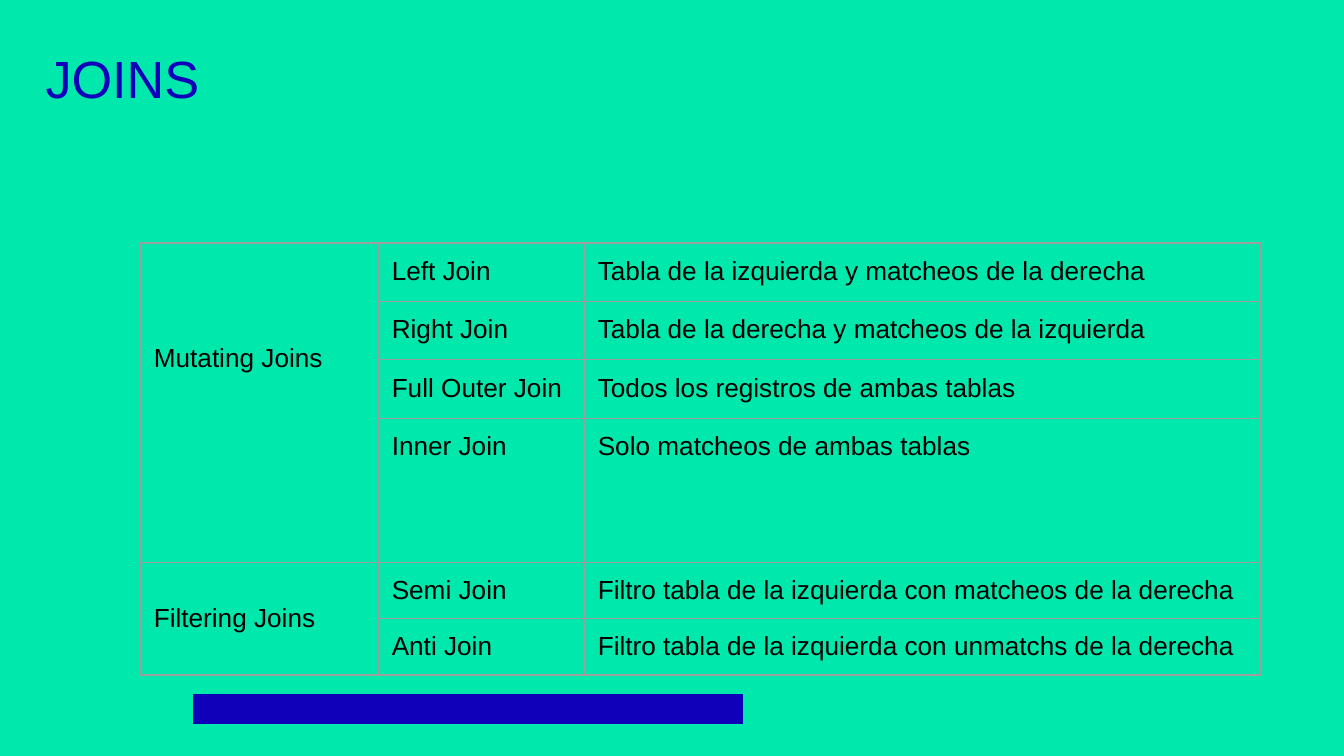
from lxml.etree import SubElement
from pptx import Presentation
from pptx.dml.color import RGBColor as RGB
from pptx.enum.shapes import MSO_SHAPE as SHAPE
from pptx.enum.text import MSO_ANCHOR as ANCHOR, PP_ALIGN as ALIGN
from pptx.oxml.ns import qn
from pptx.util import Pt

COLORS = {"bg": "01E8AC", "blue": "1000BA", "text": "000000", "border": "9E9E9E"}
TITLE = "JOINS"
GROUPS = [
    ("Mutating Joins", [
        ("Left Join", "Tabla de la izquierda y matcheos de la derecha"),
        ("Right Join", "Tabla de la derecha y matcheos de la izquierda"),
        ("Full Outer Join", "Todos los registros de ambas tablas"),
        ("Inner Join", "Solo matcheos de ambas tablas"),
    ]),
    ("Filtering Joins", [
        ("Semi Join", "Filtro tabla de la izquierda con matcheos de la derecha"),
        ("Anti Join", "Filtro tabla de la izquierda con unmatchs de la derecha"),
    ]),
]
COL_WIDTHS = [127.5, 110.4, 362.4]
ROW_HEIGHTS = [31.3, 31.3, 31.3, 77, 30, 30.2]
INSET = 7.2
FIRST_GROUP_TOP = 54.2


def color(name):
    return RGB.from_string(COLORS[name])


def set_font(p, size, name):
    for key, value in {"name": "Arial", "size": Pt(size), "bold": False}.items():
        setattr(p.font, key, value)
    p.font.color.rgb = color(name)


def set_margins(obj, top=INSET):
    for side in ("left", "right", "bottom"):
        setattr(obj, f"margin_{side}", Pt(INSET))
    obj.margin_top = Pt(top)


def set_borders(cell):
    """Rule all four edges; the lines must come before the cell's fill."""
    props = cell._tc.get_or_add_tcPr()
    for i, side in enumerate("LRTB"):
        ln = SubElement(props, qn(f"a:ln{side}"), w=str(Pt(0.75)), cap="flat", cmpd="sng")
        props.insert(i, ln)
        fill = SubElement(ln, qn("a:solidFill"))
        SubElement(fill, qn("a:srgbClr"), val=COLORS["border"])
        SubElement(ln, qn("a:prstDash"), val="solid")


def write_cell(cell, text):
    p = cell.text_frame.paragraphs[0]
    p.text = text
    set_font(p, 14, "text")


def add_joins_table(s):
    frame = s.shapes.add_table(len(ROW_HEIGHTS), len(COL_WIDTHS), Pt(75.2), Pt(130.2),
                               Pt(sum(COL_WIDTHS)), Pt(sum(ROW_HEIGHTS)))
    table = frame.table
    table.first_row = table.horz_banding = False
    for col, width in zip(table.columns, COL_WIDTHS):
        col.width = Pt(width)
    for row, height in zip(table.rows, ROW_HEIGHTS):
        row.height = Pt(height)

    for cell in table.iter_cells():
        cell.fill.background()
        set_margins(cell)
        set_borders(cell)

    start = 0
    for group, joins in GROUPS:
        end = start + len(joins) - 1
        group_cell = table.cell(start, 0)
        write_cell(group_cell, group)
        group_cell.merge(table.cell(end, 0))
        for r, texts in enumerate(joins, start):
            for c, text in enumerate(texts, 1):
                write_cell(table.cell(r, c), text)
        start = end + 1

    set_margins(table.cell(0, 0), FIRST_GROUP_TOP)
    group_cell.vertical_anchor = ANCHOR.MIDDLE


def main():
    prs = Presentation()
    prs.slide_width, prs.slide_height = Pt(720), Pt(405)
    s = prs.slides.add_slide(prs.slide_layouts[5])
    s.background.fill.solid()
    s.background.fill.fore_color.rgb = color("bg")

    title = s.shapes.title
    title.left, title.top, title.width, title.height = Pt(17.2), Pt(17.6), Pt(581), Pt(49)
    tf = title.text_frame
    tf.text = TITLE
    tf.vertical_anchor = ANCHOR.TOP
    set_margins(tf)
    p = tf.paragraphs[0]
    p.alignment = ALIGN.LEFT
    set_font(p, 28, "blue")

    add_joins_table(s)

    bar = s.shapes.add_shape(SHAPE.RECTANGLE, Pt(103.7), Pt(372.2), Pt(294), Pt(15.3))
    bar.shadow.inherit = False
    bar.fill.solid()
    bar.fill.fore_color.rgb = bar.line.color.rgb = color("blue")
    bar.line.width = Pt(0.75)

    prs.save("out.pptx")


if __name__ == "__main__":
    main()
